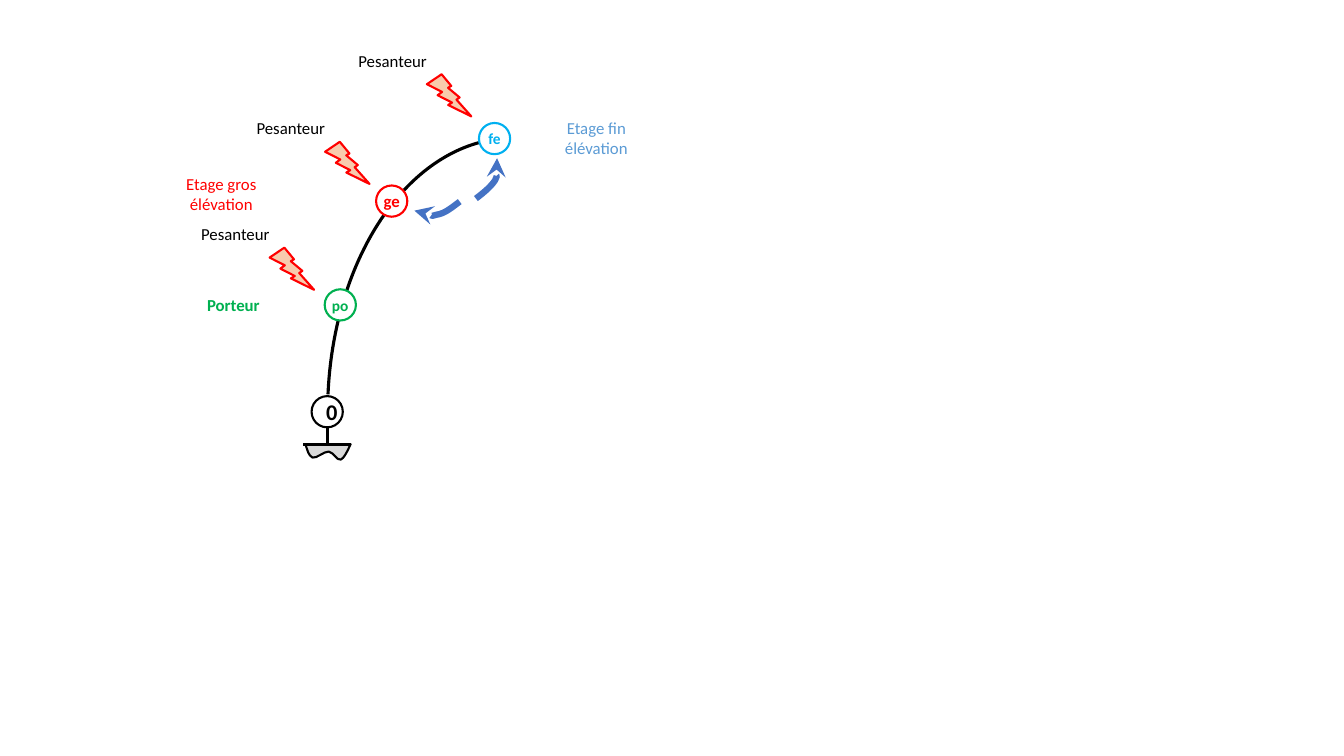
from lxml import etree
from pptx import Presentation
from pptx.dml.color import RGBColor
from pptx.enum.shapes import MSO_CONNECTOR, MSO_SHAPE
from pptx.enum.text import MSO_ANCHOR, MSO_AUTO_SIZE, PP_ALIGN
from pptx.oxml.ns import qn
from pptx.util import Inches, Pt

ARC, CIRCLE, BOLT = MSO_SHAPE.ARC, MSO_SHAPE.OVAL, MSO_SHAPE.LIGHTNING_BOLT
STRAIGHT = MSO_CONNECTOR.STRAIGHT
MIDDLE, CENTER = MSO_ANCHOR.MIDDLE, PP_ALIGN.CENTER
FIT_TEXT = MSO_AUTO_SIZE.SHAPE_TO_FIT_TEXT

COLORS = {
    "black": "000000", "white": "FFFFFF", "ground": "D9D9D9",
    "carrier": "00B050", "coarse": "FF0000", "fine": "00B0F0",
    "fine_label": "5B9BD5", "bolt": "F8CBAD", "arrow": "4472C4",
}
FONT = "Calibri"
NODE_SIZE = 0.31
LABEL_WIDTH = 0.87
LINE_HEIGHT = 0.2


def rgb(name):
    return RGBColor.from_string(COLORS[name])


def style_line(line, color, width):
    line.color.rgb = rgb(color)
    line.width = Pt(width)


def style_shape(shape, fill, color, width):
    shape.shadow.inherit = False
    if fill:
        shape.fill.solid()
        shape.fill.fore_color.rgb = rgb(fill)
    else:
        shape.fill.background()
    style_line(shape.line, color, width)


def write_text(frame, text, size, color, bold):
    frame.word_wrap = True
    frame.text = text
    paragraph = frame.paragraphs[0]
    paragraph.alignment = CENTER
    font = paragraph.runs[0].font
    font.name, font.size, font.bold = FONT, Pt(size), bold
    font.color.rgb = rgb(color)


def clear_margins(frame):
    frame.margin_left = frame.margin_right = 0
    frame.margin_top = frame.margin_bottom = 0


def add_preset(shapes, kind, left, top, width, height, fill, color, weight):
    shape = shapes.add_shape(kind, Inches(left), Inches(top),
                             Inches(width), Inches(height))
    style_shape(shape, fill, color, weight)
    return shape


def add_arm(shapes):
    arm = add_preset(shapes, ARC, 3.25, 1.37, 3.67, 5.43, None, "black", 2.25)
    arm.adjustments[0] = 111.23
    arm.adjustments[1] = 159.35


def add_node(shapes, text, left, top, size, color, margins=False):
    node = add_preset(shapes, CIRCLE, left, top, NODE_SIZE, NODE_SIZE,
                      "white", color, 1.5)
    frame = node.text_frame
    frame.vertical_anchor = MIDDLE
    if not margins:
        clear_margins(frame)
    write_text(frame, text, size, color, True)


def add_label(shapes, text, left, top, color, lines=1, bold=False):
    label = shapes.add_textbox(Inches(left), Inches(top), Inches(LABEL_WIDTH),
                               Inches(lines * LINE_HEIGHT))
    frame = label.text_frame
    clear_margins(frame)
    write_text(frame, text, 12, color, bold)
    frame.auto_size = FIT_TEXT


def add_gravity(shapes, left, top):
    bolt = add_preset(shapes, BOLT, left + 0.79, top + 0.23, 0.4, 0.45,
                      "bolt", "coarse", 1.5)
    bolt.rotation = 353.2
    add_label(shapes, "Pesanteur", left, top, "black")


def add_curve(shapes, points, fill, color, width):
    start, *others = [(Inches(x), Inches(y)) for x, y in points]
    builder = shapes.build_freeform(*start)
    builder.add_line_segments(others, close=False)
    curve = builder.convert_to_shape()
    style_shape(curve, fill, color, width)
    segments = list(curve._element.iter(qn("a:lnTo")))
    for i in range(0, len(segments), 3):
        bezier = etree.Element(qn("a:cubicBezTo"))
        segments[i].addprevious(bezier)
        for segment in segments[i:i + 3]:
            bezier.append(segment[0])
            segment.getparent().remove(segment)
    return curve


def add_motion_arrow(shapes, points):
    arrow = add_curve(shapes, points, None, "arrow", 4.5)
    outline = arrow.line._get_or_add_ln()
    etree.SubElement(outline, qn("a:tailEnd"), type="stealth")


def add_bar(shapes, x1, y1, x2, y2):
    bar = shapes.add_connector(STRAIGHT, Inches(x1), Inches(y1),
                               Inches(x2), Inches(y2))
    style_line(bar.line, "black", 2.25)
    etree.SubElement(bar._element.spPr, qn("a:effectLst"))


def add_ground(shapes):
    ground = shapes.add_group_shape().shapes
    add_curve(ground, [
        (3.03, 4.41), (3.05, 4.47), (3.06, 4.52), (3.1, 4.54),
        (3.14, 4.55), (3.21, 4.48), (3.26, 4.48),
        (3.31, 4.49), (3.34, 4.57), (3.38, 4.56),
        (3.41, 4.55), (3.45, 4.47), (3.48, 4.4),
    ], "ground", "black", 1.5)
    add_bar(ground, 3.25, 4.25, 3.25, 4.4)
    add_bar(ground, 3.48, 4.41, 3.01, 4.41)


def main():
    deck = Presentation()
    deck.slide_width, deck.slide_height = Inches(13.33), Inches(7.5)
    shapes = deck.slides.add_slide(deck.slide_layouts[6]).shapes

    add_arm(shapes)
    add_ground(shapes)

    add_node(shapes, "po", 3.22, 2.87, 11, "carrier")
    add_node(shapes, "ge", 3.73, 1.84, 12, "coarse")
    add_node(shapes, "0", 3.09, 3.93, 16, "black", margins=True)
    add_node(shapes, "fe", 4.75, 1.22, 11, "fine")

    add_motion_arrow(shapes, [
        (4.72, 1.97), (4.8, 1.91), (4.87, 1.85), (4.91, 1.79),
        (4.94, 1.72), (4.94, 1.64), (4.93, 1.57)])
    add_motion_arrow(shapes, [
        (4.56, 2), (4.48, 2.06), (4.41, 2.12), (4.33, 2.13),
        (4.26, 2.15), (4.19, 2.12), (4.11, 2.09)])

    add_label(shapes, "Porteur", 1.88, 2.92, "carrier", bold=True)
    add_label(shapes, "Etage gros élévation", 1.76, 1.72, "coarse", lines=2)
    add_label(shapes, "Etage fin élévation", 5.48, 1.17, "fine_label", lines=2)

    for left, top in [(2.45, 1.17), (1.9, 2.22), (3.46, 0.5)]:
        add_gravity(shapes, left, top)

    deck.save("out.pptx")


if __name__ == "__main__":
    main()
